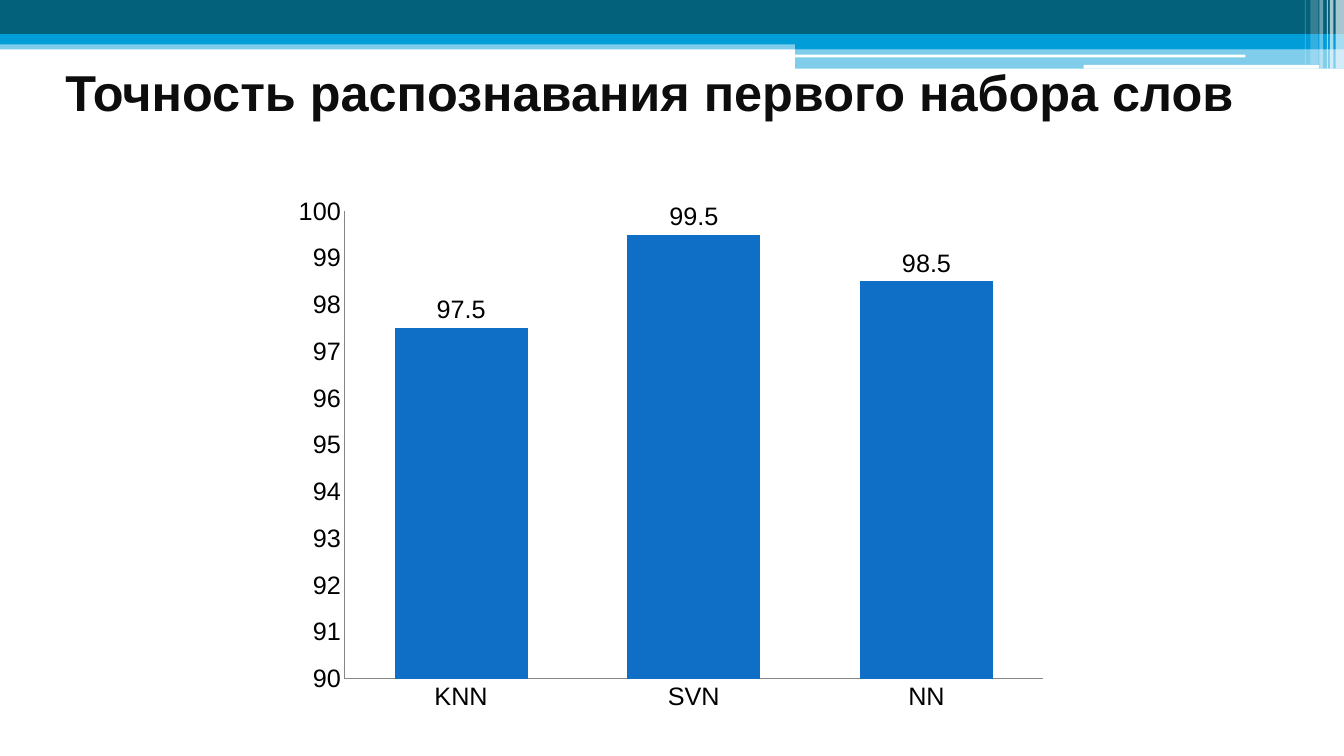
from lxml import etree
from pptx import Presentation
from pptx.chart.data import CategoryChartData
from pptx.dml.color import RGBColor
from pptx.enum import chart as chart_enum, shapes, text
from pptx.oxml import ns
from pptx.util import Pt

TEAL = RGBColor(0x04, 0x61, 0x7B)
CYAN = RGBColor(0x00, 0x9D, 0xD9)
WHITE = RGBColor(0xFF, 0xFF, 0xFF)
BLUE = RGBColor(0x0F, 0x6F, 0xC6)
BLACK = RGBColor(0x00, 0x00, 0x00)
NEAR_BLACK = RGBColor(0x0D, 0x0D, 0x0D)
GRAY = RGBColor(0x86, 0x86, 0x86)
FONT = "Arial"
WIDTH, HEIGHT = 960, 540

TITLE = "Точность распознавания первого набора слов"
ACCURACY = {"KNN": 97.5, "SVN": 99.5, "NN": 98.5}

# left, top, width, height, colour, opacity in percent
BANDS = [
    (0, 28.8, WIDTH, 6.5, CYAN, 50),
    (0, 0, WIDTH, 24.5, TEAL, 100),
    (0, 24.5, WIDTH, 7.2, CYAN, 100),
    (568, 28, 392, 7.2, CYAN, 100),
    (568, 35, 392, 14, CYAN, 50),
]
# left, top, width, height
ROUNDED_STRIPES = [(567.5, 39, 322, 2), (774, 46.3, 168, 2.7)]
# left, width, height, opacity in percent
CORNER_STRIPES = [
    (954, 6, 49, 65),
    (949.9, 2.6, 49, 65),
    (947.8, 0.7, 49, 60),
    (942.5, 2.6, 49, 40),
    (936, 5.8, 46, 20),
    (932, 0.7, 46, 30),
]


def add_block(slide, box, colour, opacity=100, kind=shapes.MSO_SHAPE.RECTANGLE):
    shape = slide.shapes.add_shape(kind, *map(Pt, box))
    shape.shadow.inherit = False
    shape.line.fill.background()
    shape.fill.solid()
    shape.fill.fore_color.rgb = colour
    if opacity < 100:
        colour_xml = shape._element.spPr.find(".//" + ns.qn("a:srgbClr"))
        etree.SubElement(colour_xml, ns.qn("a:alpha"), val=str(opacity * 1000))
    return shape


def add_text(slide, box, content, size, colour, bold=False):
    frame = slide.shapes.add_textbox(*map(Pt, box)).text_frame
    frame.word_wrap = True
    frame.vertical_anchor = text.MSO_ANCHOR.MIDDLE
    run = frame.paragraphs[0].add_run()
    run.text = content
    run.font.name, run.font.size, run.font.bold = FONT, Pt(size), bold
    run.font.color.rgb = colour


def add_accuracy_chart(slide, box):
    data = CategoryChartData()
    data.categories = list(ACCURACY)
    data.add_series("Series 1", list(ACCURACY.values()))
    chart = slide.shapes.add_chart(
        chart_enum.XL_CHART_TYPE.COLUMN_CLUSTERED, *map(Pt, box), data).chart
    chart.has_legend = False
    chart.has_title = False
    chart.font.name, chart.font.size = FONT, Pt(18)
    chart.font.color.rgb = BLACK

    for axis in (chart.category_axis, chart.value_axis):
        axis.has_major_gridlines = False
        axis.major_tick_mark = chart_enum.XL_TICK_MARK.NONE
        axis.minor_tick_mark = chart_enum.XL_TICK_MARK.NONE
        axis.format.line.color.rgb = GRAY
        axis.format.line.width = Pt(0.75)
    chart.value_axis.minimum_scale = 90
    chart.value_axis.maximum_scale = 100
    chart.value_axis.major_unit = 1

    plot = chart.plots[0]
    plot.gap_width = 75
    plot.vary_by_categories = False
    series = plot.series[0]
    series.format.fill.solid()
    series.format.fill.fore_color.rgb = BLUE
    labels = series.data_labels
    labels.show_value = True
    labels.position = chart_enum.XL_LABEL_POSITION.OUTSIDE_END


def main():
    presentation = Presentation()
    presentation.slide_width, presentation.slide_height = Pt(WIDTH), Pt(HEIGHT)
    slide = presentation.slides.add_slide(presentation.slide_layouts[6])

    for *box, colour, opacity in BANDS:
        add_block(slide, box, colour, opacity)
    for box in ROUNDED_STRIPES:
        add_block(slide, box, WHITE, kind=shapes.MSO_SHAPE.ROUNDED_RECTANGLE)
    for left, width, height, opacity in CORNER_STRIPES:
        add_block(slide, (left, 0, width, height), WHITE, opacity)

    add_accuracy_chart(slide, (202.3, 133.2, 553.7, 382.3))
    add_text(slide, (39.6, 23, 864, 84.2), TITLE, 36, NEAR_BLACK, bold=True)
    presentation.save("out.pptx")


if __name__ == "__main__":
    main()
